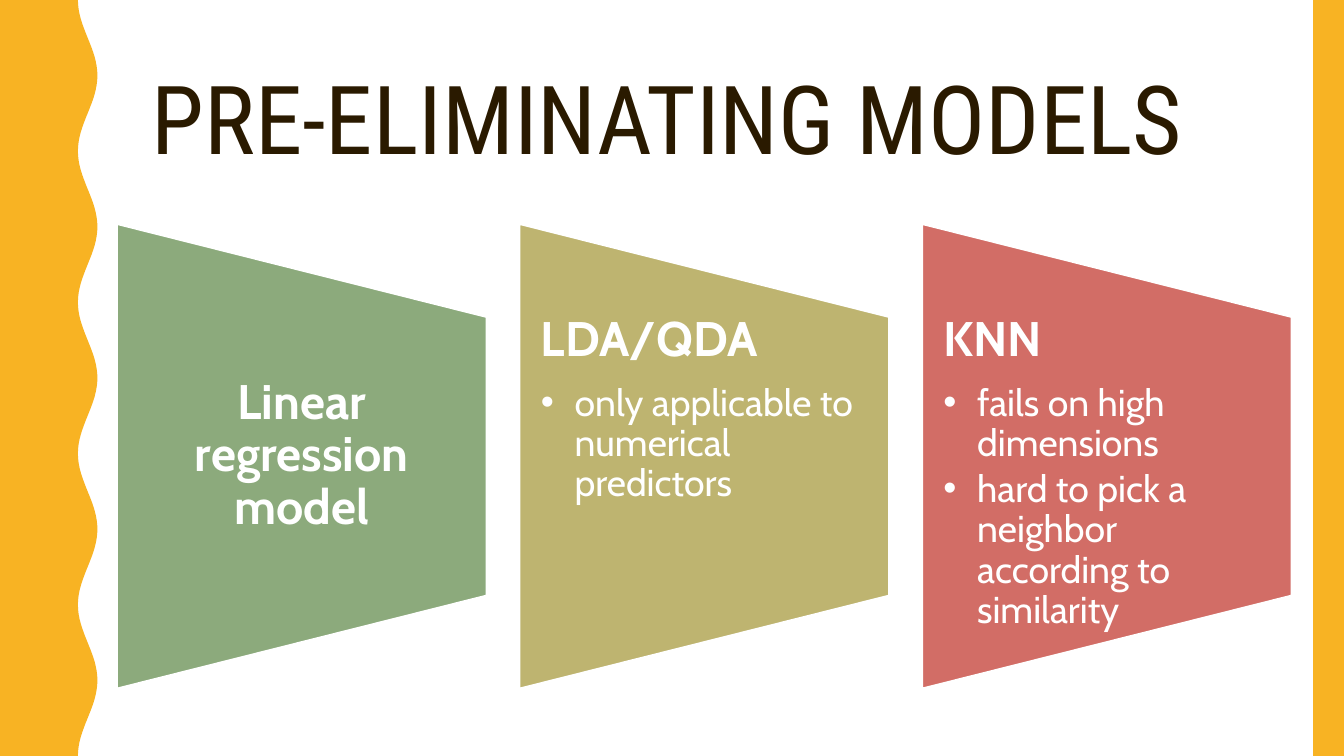
"""Build the slide on models eliminated in advance: a wavy frame and three cards."""
from dataclasses import dataclass
from math import cos, pi

from lxml.etree import SubElement
from pptx import Presentation
from pptx.dml.color import RGBColor
from pptx.enum.shapes import MSO_SHAPE
from pptx.enum.text import MSO_ANCHOR, MSO_AUTO_SIZE, PP_ALIGN
from pptx.oxml.ns import qn
from pptx.shapes.autoshape import Shape
from pptx.slide import Slide
from pptx.text.text import TextFrame
from pptx.util import Emu, Inches, Pt

SLIDE_WIDTH, SLIDE_HEIGHT = Inches(10), Inches(5.625)
COLUMNS, ROWS = 100, 56.25
COMPARISON_LAYOUT = 4

WHITE = RGBColor(0xFF, 0xFF, 0xFF)
BROWN = RGBColor(0x2A, 0x1A, 0x00)
AMBER = RGBColor(0xF8, 0xB3, 0x23)
GREEN = RGBColor(0x8C, 0xAA, 0x7C)
OLIVE = RGBColor(0xBE, 0xB4, 0x70)
RED = RGBColor(0xD2, 0x6D, 0x66)

TITLE_FONT, BODY_FONT = "Roboto Condensed", "Cabin"

WAVE_COUNT, WAVE_STEPS = 5, 32
WAVE_INNER, WAVE_OUTER = 5.8, 7.25

CARD_CENTER, CARD_MIDDLE, CARD_PITCH = 22.45, 33.95, 29.95
CARD_WIDTH, CARD_HEIGHT = 27.9, 35.1
CARD_TEXT_HEIGHT = 21.1


@dataclass(frozen=True)
class Box:
    """A place on the grid, in columns and rows."""
    left: float
    top: float
    width: float
    height: float

    @classmethod
    def around(cls, center: float, middle: float, width: float, height: float) -> "Box":
        return cls(center - width / 2, middle - height / 2, width, height)

    def lengths(self) -> tuple[Emu, Emu, Emu, Emu]:
        return across(self.left), down(self.top), across(self.width), down(self.height)


@dataclass(frozen=True)
class Card:
    """A model with the reasons for dropping it."""
    color: RGBColor
    heading: str
    reasons: tuple[str, ...] = ()


CARDS = (
    Card(GREEN, "Linear regression model"),
    Card(OLIVE, "LDA/QDA", ("only applicable to numerical predictors",)),
    Card(RED, "KNN", ("fails on high dimensions",
                      "hard to pick a neighbor according to similarity")),
)


def across(columns: float) -> Emu:
    return Emu(round(SLIDE_WIDTH * columns / COLUMNS))


def down(rows: float) -> Emu:
    return Emu(round(SLIDE_HEIGHT * rows / ROWS))


def paint(shape: Shape, color: RGBColor) -> None:
    shape.shadow.inherit = False
    shape.fill.solid()
    shape.fill.fore_color.rgb = color
    shape.line.fill.background()


def place(shape: Shape, box: Box) -> None:
    shape.left, shape.top, shape.width, shape.height = box.lengths()


def prepare_frame(frame: TextFrame, side: float, edge: float, anchor: MSO_ANCHOR) -> None:
    frame.word_wrap = True
    frame.auto_size = MSO_AUTO_SIZE.NONE
    frame.margin_left = frame.margin_right = Inches(side)
    frame.margin_top = frame.margin_bottom = Inches(edge)
    frame.vertical_anchor = anchor


def write(frame: TextFrame, text: str, *, size: float, font: str = BODY_FONT,
          color: RGBColor = WHITE, bold: bool = False, bullet: bool = False,
          before: float = 0, align: PP_ALIGN = PP_ALIGN.LEFT) -> None:
    paragraph = frame.add_paragraph() if frame.text else frame.paragraphs[0]
    paragraph.alignment = align
    paragraph.line_spacing = 0.9
    paragraph.space_before, paragraph.space_after = Pt(before), Pt(0)
    paragraph.level = int(bullet)
    indent = Inches(0.25) if bullet else 0
    properties = paragraph._p.get_or_add_pPr()
    properties.set("marL", str(indent))
    properties.set("indent", str(-indent))
    if bullet:
        SubElement(properties, qn("a:buFont"), typeface="Arial")
        SubElement(properties, qn("a:buChar"), char="•")
    else:
        SubElement(properties, qn("a:buNone"))
    run = paragraph.add_run()
    run.text = text
    run.font.name, run.font.size, run.font.bold = font, Pt(size), bold
    run.font.color.rgb = color


def draw_frame(slide: Slide) -> None:
    swing = (WAVE_OUTER - WAVE_INNER) / 2
    total = WAVE_COUNT * WAVE_STEPS
    wave = [(across(WAVE_INNER + swing * (1 - cos(2 * pi * step / WAVE_STEPS))),
             down(ROWS * step / total)) for step in range(total + 1)]
    builder = slide.shapes.build_freeform(0, 0)
    builder.add_line_segments([*wave, (0, SLIDE_HEIGHT)], close=True)
    paint(builder.convert_to_shape(), AMBER)
    band = Box(97.7, 0, 2.3, ROWS)
    paint(slide.shapes.add_shape(MSO_SHAPE.RECTANGLE, *band.lengths()), AMBER)


def draw_card(slide: Slide, card: Card, center: float, body: Shape) -> None:
    turned = Box.around(center, CARD_MIDDLE, CARD_HEIGHT, CARD_WIDTH)
    panel = slide.shapes.add_shape(MSO_SHAPE.FLOWCHART_MANUAL_OPERATION, *turned.lengths())
    panel.rotation = 270
    paint(panel, card.color)
    panel.line.color.rgb = WHITE
    panel.line.width = Pt(4)

    place(body, Box.around(center, CARD_MIDDLE, CARD_WIDTH, CARD_TEXT_HEIGHT))
    panel.element.addnext(body.element)
    frame = body.text_frame
    prepare_frame(frame, 0.18, 0, MSO_ANCHOR.TOP if card.reasons else MSO_ANCHOR.MIDDLE)
    write(frame, card.heading, size=26, bold=True,
          align=PP_ALIGN.LEFT if card.reasons else PP_ALIGN.CENTER)
    for index, reason in enumerate(card.reasons):
        write(frame, reason, size=20, bullet=True, before=3 if index else 9.1)


def main() -> None:
    presentation = Presentation()
    presentation.slide_width, presentation.slide_height = SLIDE_WIDTH, SLIDE_HEIGHT
    slide = presentation.slides.add_slide(presentation.slide_layouts[COMPARISON_LAYOUT])
    title, *bodies, spare = slide.placeholders
    spare.element.getparent().remove(spare.element)

    draw_frame(slide)
    place(title, Box(10.3, 3.1, 83.5, 12.2))
    prepare_frame(title.text_frame, 0.1, 0.05, MSO_ANCHOR.MIDDLE)
    write(title.text_frame, "PRE-ELIMINATING MODELS", size=51, font=TITLE_FONT, color=BROWN)
    for index, (card, body) in enumerate(zip(CARDS, bodies)):
        draw_card(slide, card, CARD_CENTER + index * CARD_PITCH, body)
    presentation.save("out.pptx")


if __name__ == "__main__":
    main()
